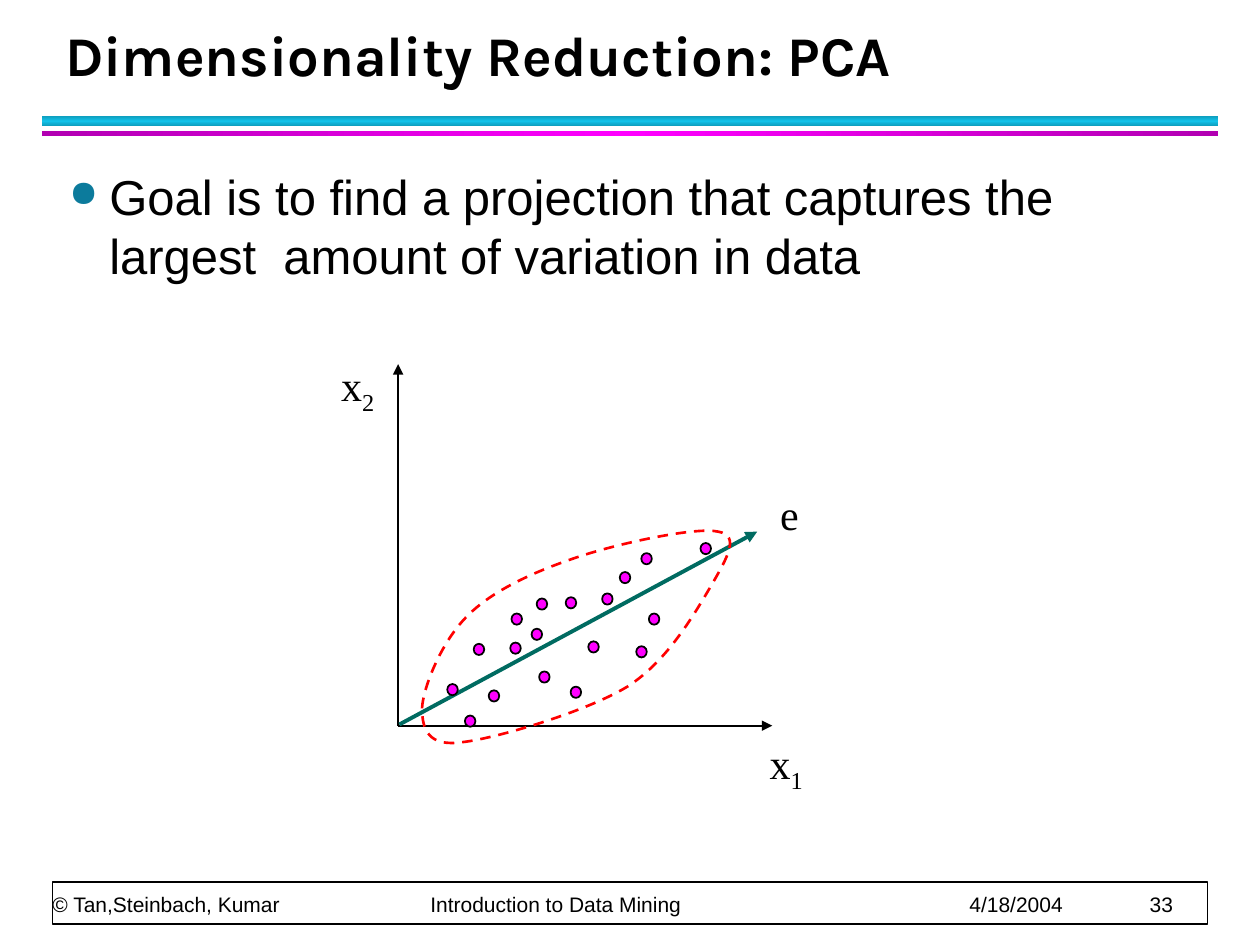
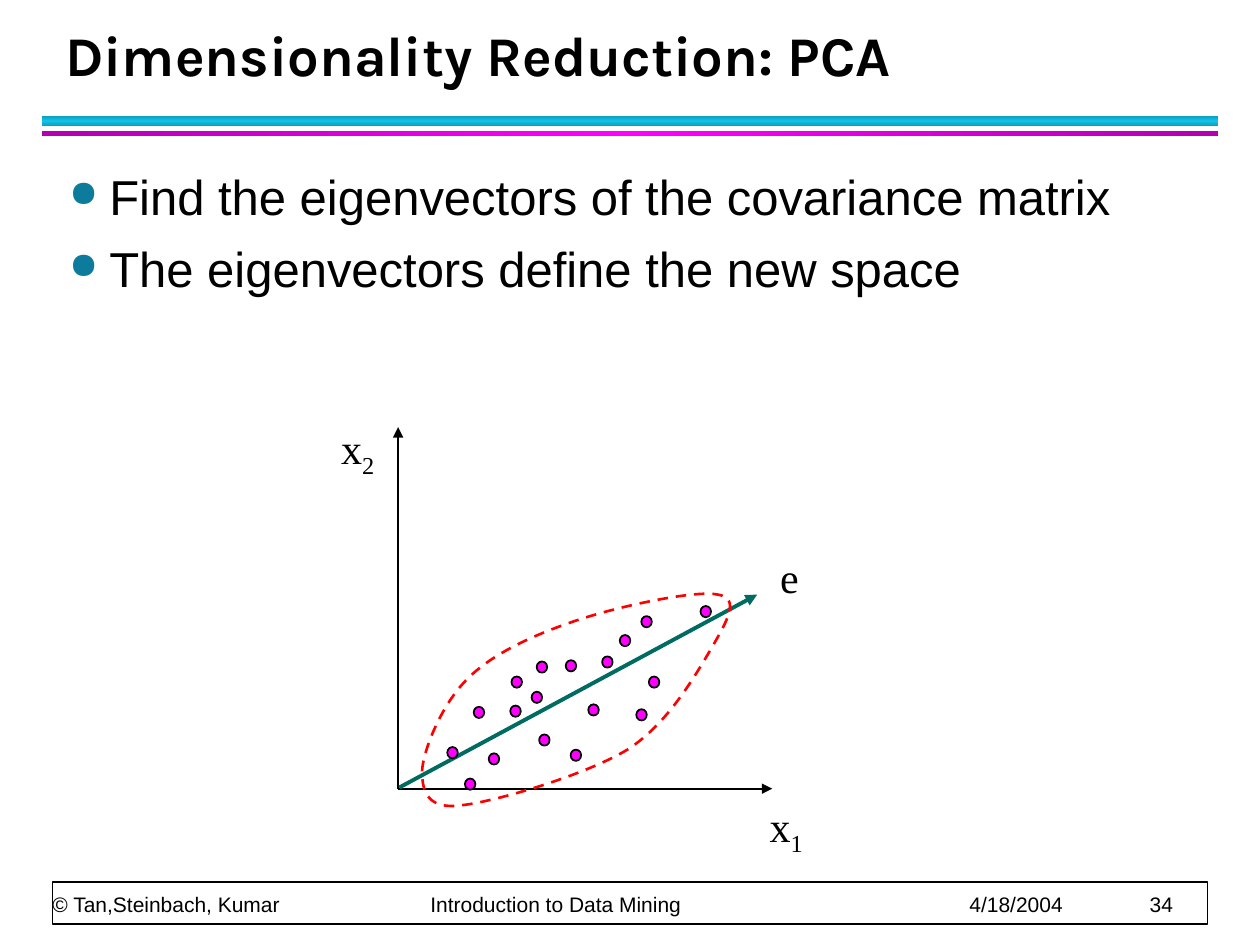
"""Build two slides on dimensionality reduction with PCA."""
import copy

import lxml.etree
import pptx
import pptx.dml.color
import pptx.enum.dml
import pptx.enum.shapes
import pptx.enum.text
import pptx.oxml.ns
import pptx.util

Pt = pptx.util.Pt
RGBColor = pptx.dml.color.RGBColor
qn = pptx.oxml.ns.qn
Shape = pptx.enum.shapes.MSO_SHAPE
Anchor = pptx.enum.text.MSO_ANCHOR
Align = pptx.enum.text.PP_ALIGN

BLACK = RGBColor(0x00, 0x00, 0x00)
WHITE = RGBColor(0xFF, 0xFF, 0xFF)
CYAN_EDGE = RGBColor(0x0E, 0x9B, 0xBA)
CYAN = RGBColor(0x12, 0xC2, 0xE9)
PURPLE_EDGE = RGBColor(0xB2, 0x00, 0xB2)
MAGENTA = RGBColor(0xFF, 0x00, 0xFF)
BULLET = RGBColor(0x0C, 0x7B, 0x9C)
GREEN = RGBColor(0x00, 0x6B, 0x61)
RED = RGBColor(0xFF, 0x00, 0x00)

TITLE_FONT, BODY_FONT, LABEL_FONT = "Karla", "Arial", "Times New Roman"
FOOTER_PARTS = ["© Tan,Steinbach, Kumar", "Introduction to Data Mining", "4/18/2004"]
FOOTER_TABS = [216, 524, 627]

DATA_POINTS = [
    (43.2, -46.8), (64.8, -64.1), (28.1, -23.8), (76.3, -55.4), (64.1, -47.5), (108.7, -48.2),
    (98.6, -22.3), (80.6, -31), (95.8, -73.4), (143.3, -64.1), (172.8, -104.4), (51.8, -20.2),
    (116.6, -75.6), (139, -98.6), (79.2, -72.7), (126.7, -87.8), (136.1, -45.4), (38.2, -5.8),
]
CLUSTER_OUTLINE = [
    (13.7, -10.1),
    (14.4, -22.3), (25.2, -49), (40.3, -63.4),
    (54.7, -77.8), (79.2, -88.6), (103, -96.5),
    (126.7, -104.4), (170.6, -113.8), (182.9, -110.9),
    (195.8, -108.7), (187.9, -95.8), (179.3, -80.6),
    (170.6, -66.2), (154.8, -37.4), (131, -22.3),
    (107.3, -7.9), (56.2, 7.2), (36.7, 9.4),
    (17.3, 12.2), (13.7, 2.2), (13.7, -10.1),
]
ORIGIN_X = 227.5


class Deck:
    """Hold the shared style and the current slide."""

    def __init__(self):
        self.presentation = pptx.Presentation()
        self.presentation.slide_width = Pt(720)
        self.presentation.slide_height = Pt(540)
        self.slide = None

    def add_slide(self, title, number):
        self.slide = self.presentation.slides.add_slide(self.presentation.slide_layouts[5])
        self.band(66.2, 6, CYAN_EDGE, CYAN, 90)
        self.band(74.9, 2.9, PURPLE_EDGE, MAGENTA, 0)
        self.footer(number)
        self.title(title)

    def style_runs(self, paragraph, font, size, bold=False):
        for run in paragraph.runs:
            run.font.name = font
            run.font.size = Pt(size)
            run.font.bold = bold
            run.font.color.rgb = BLACK

    def shape(self, kind, left, top, width, height, fill=None):
        shape = self.slide.shapes.add_shape(kind, Pt(left), Pt(top), Pt(width), Pt(height))
        shape.shadow.inherit = False
        if fill is not None:
            shape.fill.solid()
            shape.fill.fore_color.rgb = fill
            shape.line.color.rgb = BLACK
            shape.line.width = Pt(1)
        return shape

    def band(self, top, height, edge, middle, angle):
        band = self.shape(Shape.RECTANGLE, 24, top, 672, height)
        band.line.fill.background()
        band.fill.gradient()
        band.fill.gradient_angle = angle
        stops = band.element.find(".//" + qn("a:gsLst"))
        stops.append(copy.deepcopy(stops[0]))
        for index, (stop, color) in enumerate(zip(band.fill.gradient_stops, [edge, middle, edge])):
            stop.position = index / 2
            stop.color.rgb = color

    def text_box(self, left, top, width, height, anchor, margins=(7.2, 3.6), wrap=True):
        box = self.slide.shapes.add_textbox(Pt(left), Pt(top), Pt(width), Pt(height))
        frame = box.text_frame
        frame.word_wrap = wrap
        frame.vertical_anchor = anchor
        frame.margin_left = frame.margin_right = Pt(margins[0])
        frame.margin_top = frame.margin_bottom = Pt(margins[1])
        return frame

    def footer(self, number):
        self.shape(Shape.RECTANGLE, 30, 504, 660, 24, WHITE)
        frame = self.text_box(30, 484, 659, 40, Anchor.BOTTOM, margins=(0, 0))
        frame.text = "\t".join(FOOTER_PARTS + [str(number)])
        paragraph = frame.paragraphs[0]
        properties = paragraph._p.get_or_add_pPr()
        tabs = lxml.etree.SubElement(properties, qn("a:tabLst"))
        for position in FOOTER_TABS:
            lxml.etree.SubElement(tabs, qn("a:tab"), pos=str(Pt(position)), algn="l")
        paragraph.line_spacing = Pt(20)
        self.style_runs(paragraph, BODY_FONT, 12)

    def title(self, text):
        title = self.slide.shapes.title
        title.left, title.top, title.width, title.height = Pt(30), Pt(12), Pt(652), Pt(42)
        frame = title.text_frame
        frame.text = text
        frame.auto_size = pptx.enum.text.MSO_AUTO_SIZE.NONE
        frame.vertical_anchor = Anchor.BOTTOM
        paragraph = frame.paragraphs[0]
        paragraph.alignment = Align.LEFT
        paragraph.line_spacing = Pt(36)
        self.style_runs(paragraph, TITLE_FONT, 32, bold=True)

    def bullets(self, items):
        frame = self.text_box(32.4, 91, 655, 408, Anchor.TOP)
        for index, item in enumerate(items):
            paragraph = frame.add_paragraph() if index else frame.paragraphs[0]
            paragraph.text = item
            properties = paragraph._p.get_or_add_pPr()
            properties.set("marL", str(Pt(23)))
            properties.set("indent", str(Pt(-23)))
            color = lxml.etree.SubElement(properties, qn("a:buClr"))
            lxml.etree.SubElement(color, qn("a:srgbClr"), val=str(BULLET))
            lxml.etree.SubElement(properties, qn("a:buSzPct"), val="75000")
            lxml.etree.SubElement(properties, qn("a:buChar"), char="●")
            paragraph.line_spacing = Pt(34)
            paragraph.space_before = Pt(3.5 if index else 0)
            paragraph.space_after = Pt(4)
            self.style_runs(paragraph, BODY_FONT, 28)

    def arrow(self, start, end, color=BLACK, width=1):
        arrow = self.slide.shapes.add_connector(
            pptx.enum.shapes.MSO_CONNECTOR.STRAIGHT, *map(Pt, start + end))
        arrow.line.color.rgb = color
        arrow.line.width = Pt(width)
        lxml.etree.SubElement(arrow.line._get_or_add_ln(), qn("a:tailEnd"), type="triangle")
        lxml.etree.SubElement(arrow.element.spPr, qn("a:effectLst"))

    def dashed_curve(self, points):
        vertices = [(Pt(x), Pt(y)) for x, y in points]
        builder = self.slide.shapes.build_freeform(*vertices[0])
        builder.add_line_segments(vertices[1:], close=True)
        curve = builder.convert_to_shape()
        segments = curve.element.findall(".//" + qn("a:lnTo"))
        for first, second, third in zip(segments[::3], segments[1::3], segments[2::3]):
            bezier = lxml.etree.Element(qn("a:cubicBezTo"))
            first.addprevious(bezier)
            for segment in (first, second, third):
                bezier.append(segment[0])
                segment.getparent().remove(segment)
        curve.shadow.inherit = False
        curve.fill.background()
        curve.line.color.rgb = RED
        curve.line.width = Pt(1.5)
        curve.line.dash_style = pptx.enum.dml.MSO_LINE.DASH

    def label(self, left, top, width, height, text, subscript=""):
        frame = self.text_box(left, top, width, height, Anchor.MIDDLE, wrap=False)
        frame.text = text
        paragraph = frame.paragraphs[0]
        paragraph.alignment = Align.CENTER
        if subscript:
            run = paragraph.add_run()
            run.text = subscript
            run._r.get_or_add_rPr().set("baseline", "-25000")
        self.style_runs(paragraph, LABEL_FONT, 24)

    def scatter_diagram(self, origin_y):
        def place(x, y):
            return ORIGIN_X + x, origin_y + y

        self.arrow(place(0, 0), place(0, -206.6))
        self.arrow(place(0, 0), place(213.8, 0))
        self.arrow(place(0.7, -0.7), place(205.2, -110.9), GREEN, 2.25)
        for point in DATA_POINTS:
            self.shape(Shape.OVAL, *place(*point), 6, 6.4, MAGENTA)
        self.dashed_curve([place(*point) for point in CLUSTER_OUTLINE])
        self.label(*place(-39.6, -213.1), 33.1, 40.3, "x", "2")
        self.label(*place(205.2, 2.9), 33.1, 40.3, "x", "1")
        self.label(*place(211, -139), 25.2, 36, "e")


def main():
    deck = Deck()
    title = "Dimensionality Reduction: PCA"

    deck.add_slide(title, 33)
    deck.bullets(["Goal is to find a projection that captures the largest  amount of variation in data"])
    deck.scatter_diagram(414.7)

    deck.add_slide(title, 34)
    deck.bullets(["Find the eigenvectors of the covariance matrix",
                  "The eigenvectors define the new space"])
    deck.scatter_diagram(450.7)

    deck.presentation.save("out.pptx")


if __name__ == "__main__":
    main()
